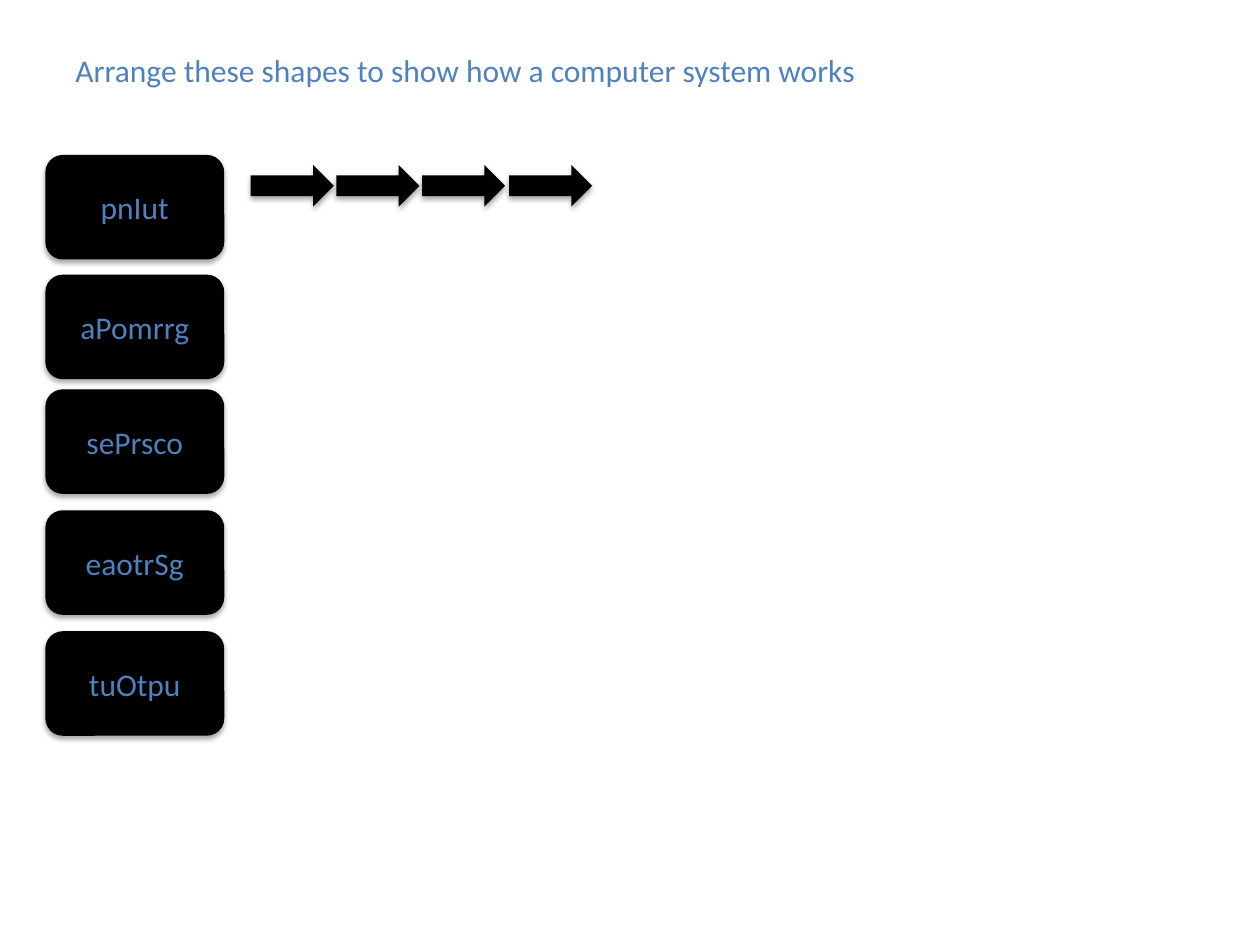
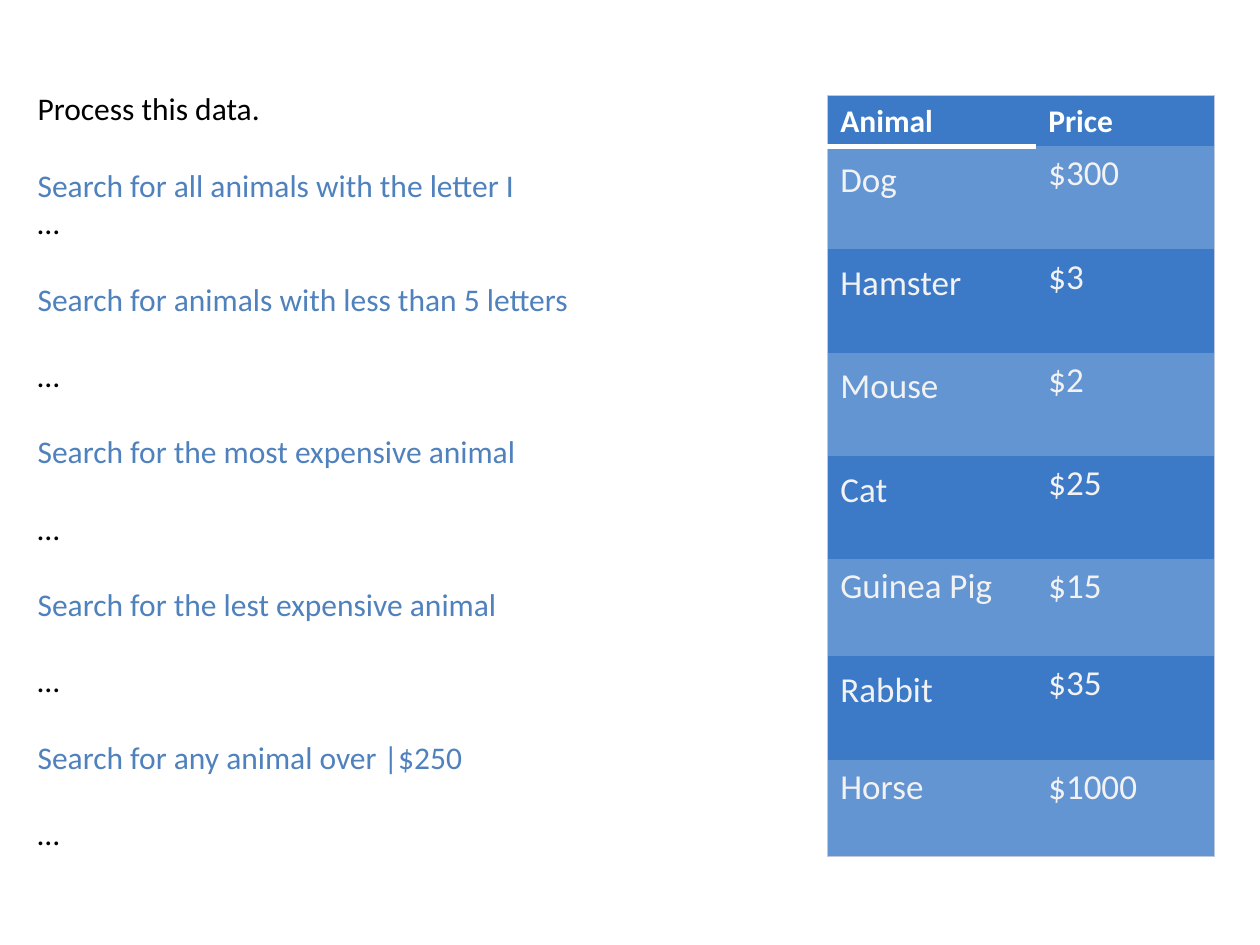
from dataclasses import dataclass

import pptx
import pptx.dml.color
import pptx.enum.shapes
import pptx.enum.text
import pptx.oxml
import pptx.oxml.ns
import pptx.util

EMU_PER_PX = 9144  # 100 px to the inch


@dataclass(frozen=True)
class Theme:
    font: str = "Calibri"
    accent: str = "4F81BD"
    black: str = "000000"
    white: str = "FFFFFF"
    cell_text: str = "F2F2F2"
    row_dark: str = "3C7AC8"
    row_light: str = "6395D3"
    outline: str = "BDC8DD"
    body_size: int = 18
    cell_size: int = 20
    blank_line: int = 22


THEME = Theme()
SHAPES = pptx.enum.shapes.MSO_SHAPE
NO_STYLE_NO_GRID = "{2D5ABB26-0587-4C30-8999-92F81FD0307C}"

# Scrambled stage name and the top of its box
STAGES = [("pnIut", 123), ("aPomrrg", 218), ("sePrsco", 309),
          ("eaotrSg", 405), ("tuOtpu", 501)]
SEARCHES = [
    "Search for all animals with the letter I",
    "Search for animals with less than 5 letters",
    "Search for the most expensive animal",
    "Search for the lest expensive animal",
    "Search for any animal over |$250",
]
ANIMAL_PRICES = [
    ("Animal", "Price"), ("Dog", "$300"), ("Hamster", "$3"),
    ("Mouse", "$2"), ("Cat", "$25"), ("Guinea Pig", "$15"),
    ("Rabbit", "$35"), ("Horse", "$1000"),
]
SINGLE_SPACED = ("Guinea Pig", "Horse")


def px(length):
    return pptx.util.Emu(length * EMU_PER_PX)


def rgb(color):
    return pptx.dml.color.RGBColor.from_string(color)


def drawing_xml(tag, content):
    namespace = pptx.oxml.ns.nsdecls("a")
    return pptx.oxml.parse_xml(f"<a:{tag} {namespace}>{content}</a:{tag.split()[0]}>")


def format_paragraph(paragraph, color, size=THEME.body_size, bold=False):
    for run in paragraph.runs:
        run.font.name = THEME.font
        run.font.size = pptx.util.Pt(size)
        run.font.bold = bold
        run.font.color.rgb = rgb(color)


def add_text(slide, left, top, width, height, lines):
    """Each line is (text, colour, blank line before it)."""
    box = slide.shapes.add_textbox(px(left), px(top), px(width), px(height))
    text_frame = box.text_frame
    text_frame.word_wrap = True
    text_frame.text = "\n".join(text for text, _, _ in lines)
    for paragraph, (_, color, spaced) in zip(text_frame.paragraphs, lines):
        format_paragraph(paragraph, color)
        if spaced:
            paragraph.space_before = pptx.util.Pt(THEME.blank_line)
    return text_frame


def add_block(slide, kind, left, top, width, height, text=""):
    """Black shape with a soft shadow and an optional centred label."""
    shape = slide.shapes.add_shape(kind, px(left), px(top), px(width), px(height))
    shape.fill.solid()
    shape.fill.fore_color.rgb = rgb(THEME.black)
    shape.line.fill.background()
    shape._element.spPr.append(drawing_xml(
        "effectLst",
        '<a:outerShdw blurRad="40000" dist="23000" dir="5400000" rotWithShape="0">'
        f'<a:srgbClr val="{THEME.black}"><a:alpha val="35000"/></a:srgbClr>'
        "</a:outerShdw>"))
    if text:
        shape.text_frame.text = text
        shape.text_frame.vertical_anchor = pptx.enum.text.MSO_ANCHOR.MIDDLE
        paragraph = shape.text_frame.paragraphs[0]
        paragraph.alignment = pptx.enum.text.PP_ALIGN.CENTER
        format_paragraph(paragraph, THEME.accent)


def add_border(cell, side, color, points):
    cell._tc.get_or_add_tcPr().append(drawing_xml(
        f'ln{side} w="{int(points * 12700)}"',
        f'<a:solidFill><a:srgbClr val="{color}"/></a:solidFill>'))


def format_cell(cell, row, column, last_row, last_column):
    # Outer frame and the rule under the first heading
    edges = [("L", column == 0), ("R", column == last_column),
             ("T", row == 0), ("B", row == last_row)]
    for side, on_edge in edges:
        if on_edge:
            add_border(cell, side, THEME.outline, 0.75)
    if row == 0 and column == 0:
        add_border(cell, "B", THEME.white, 3)

    cell.fill.solid()
    cell.fill.fore_color.rgb = rgb(THEME.row_light if row % 2 else THEME.row_dark)
    paragraph = cell.text_frame.paragraphs[0]
    if row == 0:
        format_paragraph(paragraph, THEME.white, bold=True)
    else:
        format_paragraph(paragraph, THEME.cell_text, THEME.cell_size)
        if column == 0 and cell.text not in SINGLE_SPACED:
            paragraph.line_spacing = 1.15


def add_price_table(slide, left, top, column_widths, rows):
    heights = [40] + [77 if name in SINGLE_SPACED else 82 for name, _ in rows[1:]]
    frame = slide.shapes.add_table(len(rows), len(column_widths), px(left), px(top),
                                   px(sum(column_widths)), px(sum(heights)))
    table = frame.table
    table.horz_banding = False
    properties = table._tbl.tblPr
    properties.find(pptx.oxml.ns.qn("a:tableStyleId")).text = NO_STYLE_NO_GRID
    for column, width in zip(table.columns, column_widths):
        column.width = px(width)
    for row_index, (height, values) in enumerate(zip(heights, rows)):
        table.rows[row_index].height = px(height)
        for column_index, value in enumerate(values):
            cell = table.cell(row_index, column_index)
            cell.text = value
            format_cell(cell, row_index, column_index,
                        len(rows) - 1, len(column_widths) - 1)


def build_system_slide(slide):
    add_text(slide, 50, 36, 906, 40, [
        ("Arrange these shapes to show how a computer system works",
         THEME.accent, False)])
    for name, top in STAGES:
        add_block(slide, SHAPES.ROUNDED_RECTANGLE, 36, top, 142, 83, name)
    # Four arrows spread evenly over 205 px
    for index in range(4):
        add_block(slide, SHAPES.RIGHT_ARROW, 199 + index * 205 // 3, 131, 66, 33)


def build_search_slide(slide):
    lines = [("Process this data.", THEME.black, False)]
    for index, search in enumerate(SEARCHES):
        lines.append((search, THEME.accent, True))
        lines.append(("…", THEME.black, index > 0))
    text_frame = add_text(slide, 20, 36, 512, 707, lines)
    text_frame.margin_top = px(35)
    add_price_table(slide, 657, 76, [165, 142], ANIMAL_PRICES)


def main():
    presentation = pptx.Presentation()
    presentation.slide_width = px(1000)
    presentation.slide_height = px(750)
    blank_layout = presentation.slide_layouts[6]
    for build in (build_system_slide, build_search_slide):
        build(presentation.slides.add_slide(blank_layout))
    presentation.save("out.pptx")


if __name__ == "__main__":
    main()
